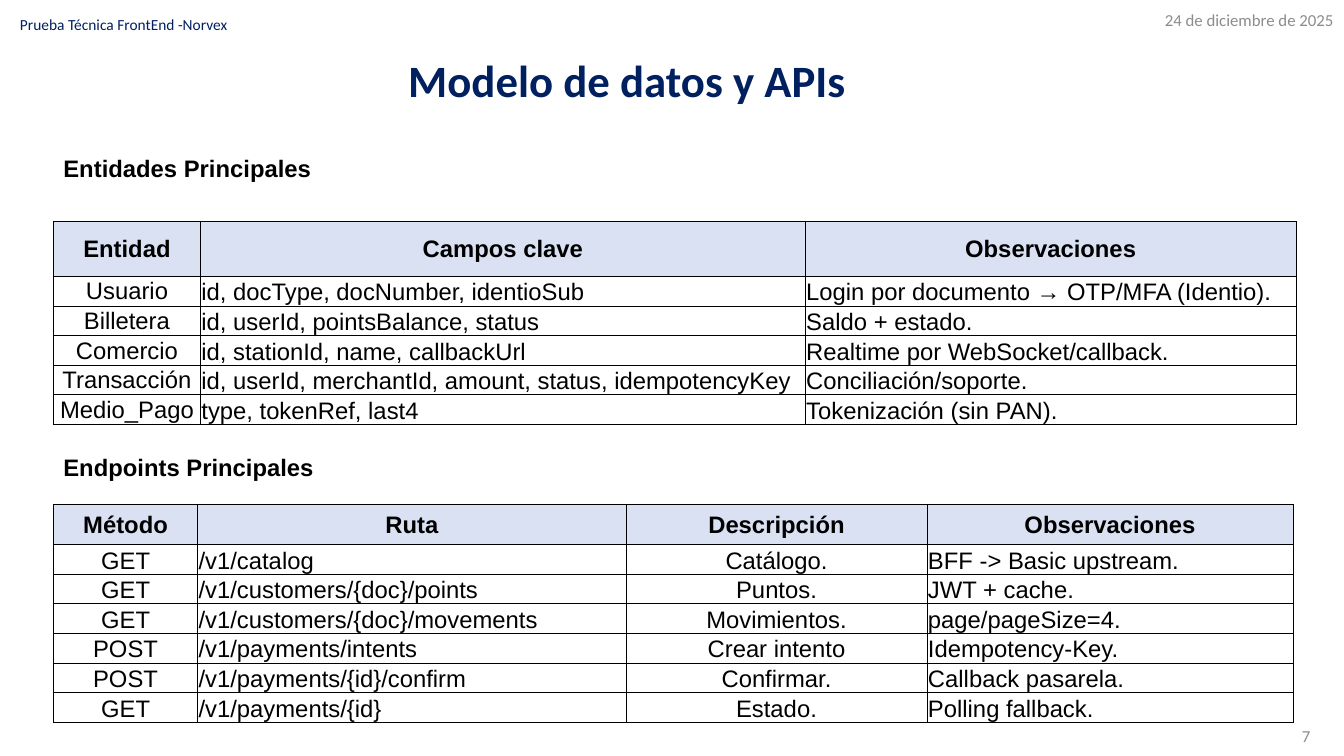
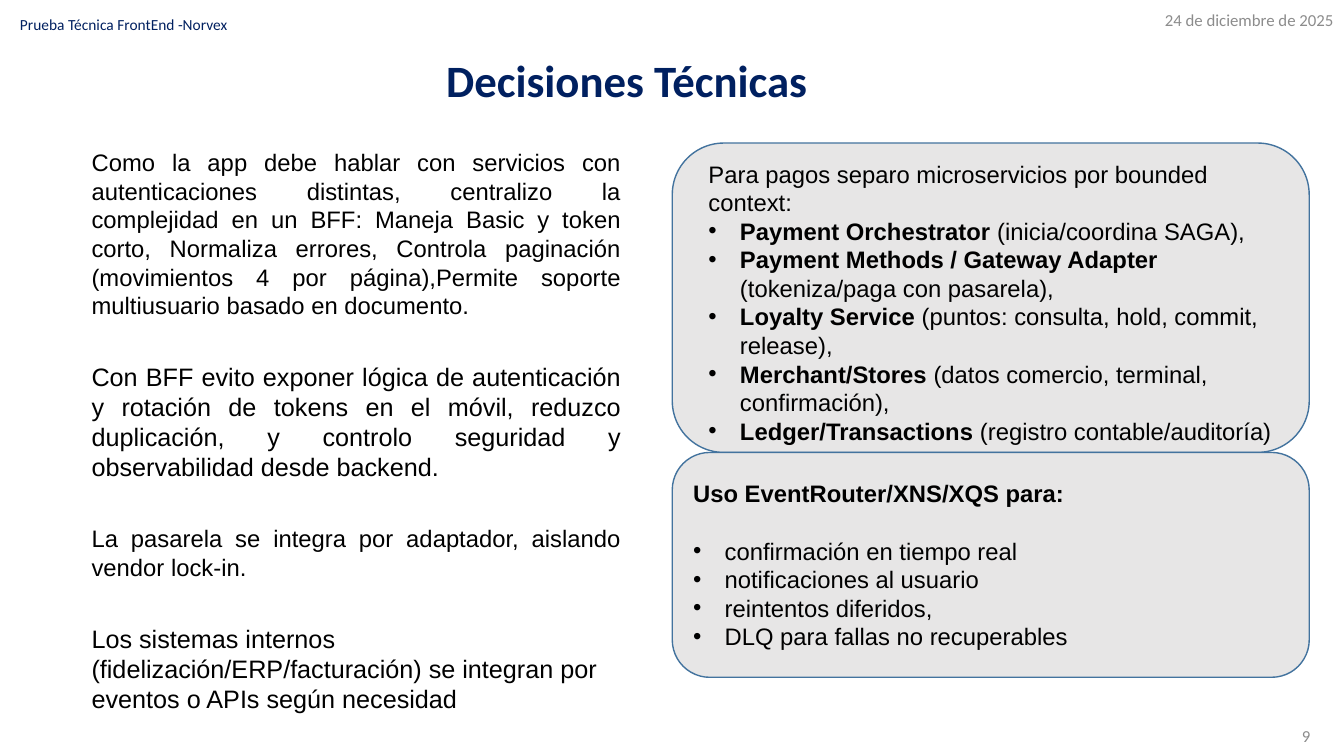
from dataclasses import dataclass
from typing import NamedTuple, Optional

from lxml import etree
from pptx import Presentation
from pptx.dml.color import RGBColor
from pptx.enum.shapes import MSO_SHAPE
from pptx.enum.text import MSO_ANCHOR, MSO_AUTO_SIZE, PP_ALIGN
from pptx.oxml.ns import qn
from pptx.slide import Slide
from pptx.table import _Cell
from pptx.text.text import TextFrame
from pptx.util import Pt

LEFT, CENTER, RIGHT, JUSTIFY = PP_ALIGN.LEFT, PP_ALIGN.CENTER, PP_ALIGN.RIGHT, PP_ALIGN.JUSTIFY
TOP, MIDDLE, BOTTOM = MSO_ANCHOR.TOP, MSO_ANCHOR.MIDDLE, MSO_ANCHOR.BOTTOM
ROUNDED = MSO_SHAPE.ROUNDED_RECTANGLE
GROW, FIXED = MSO_AUTO_SIZE.SHAPE_TO_FIT_TEXT, MSO_AUTO_SIZE.NONE

BLACK = RGBColor(0x00, 0x00, 0x00)
NAVY = RGBColor(0x00, 0x20, 0x60)
GREY = RGBColor(0x8C, 0x8C, 0x8C)
HEADER_BLUE = RGBColor(0xD9, 0xE1, 0xF2)
PANEL_GREY = RGBColor(0xE7, 0xE6, 0xE6)
PANEL_EDGE = RGBColor(0x43, 0x73, 0x9E)

BODY_FONT, FRAME_FONT = "Arial", "Calibri"
BODY_SIZE = 17
BULLET_INDENT = 22.5
ROW_HEIGHT = 21.2
BLANK_LAYOUT = 6


class Box(NamedTuple):
    left: float
    top: float
    width: float
    height: float

    def in_points(self) -> tuple[Pt, ...]:
        return tuple(Pt(value) for value in self)


class Line(NamedTuple):
    """One paragraph: a bold lead, then text in the weight of its block."""
    text: str
    lead: str = ""
    bullet: bool = False
    bold: bool = False
    after: float = 0


class Column(NamedTuple):
    header: str
    width: float
    align: PP_ALIGN = LEFT
    anchor: MSO_ANCHOR = BOTTOM


@dataclass(frozen=True)
class DataTable:
    heading: str
    heading_top: float
    top: float
    header_height: float
    columns: tuple[Column, ...]
    rows: tuple[tuple[str, ...], ...]


@dataclass(frozen=True)
class Argument:
    top: float
    height: float
    size: float
    align: PP_ALIGN
    text: str


ENTITIES = DataTable(
    "Entidades Principales", 106.5, 158.4, 38.9,
    (Column("Entidad", 105, CENTER, MIDDLE),
     Column("Campos clave", 432, JUSTIFY),
     Column("Observaciones", 350.6)),
    (("Usuario", "id, docType, docNumber, identioSub", "Login por documento → OTP/MFA (Identio)."),
     ("Billetera", "id, userId, pointsBalance, status", "Saldo + estado."),
     ("Comercio", "id, stationId, name, callbackUrl", "Realtime por WebSocket/callback."),
     ("Transacción", "id, userId, merchantId, amount, status, idempotencyKey", "Conciliación/soporte."),
     ("Medio_Pago", "type, tokenRef, last4", "Tokenización (sin PAN).")),
)
ENDPOINTS = DataTable(
    "Endpoints Principales", 319.7, 360.5, 28.4,
    (Column("Método", 103, CENTER),
     Column("Ruta", 306),
     Column("Descripción", 215, CENTER),
     Column("Observaciones", 261.4)),
    (("GET", "/v1/catalog", "Catálogo.", "BFF -> Basic upstream."),
     ("GET", "/v1/customers/{doc}/points", "Puntos.", "JWT + cache."),
     ("GET", "/v1/customers/{doc}/movements", "Movimientos.", "page/pageSize=4."),
     ("POST", "/v1/payments/intents", "Crear intento", "Idempotency-Key."),
     ("POST", "/v1/payments/{id}/confirm", "Confirmar.", "Callback pasarela."),
     ("GET", "/v1/payments/{id}", "Estado.", "Polling fallback.")),
)
ARGUMENTS = (
    Argument(102.2, 131, 17, JUSTIFY,
             "Como la app debe hablar con servicios con autenticaciones distintas, centralizo la "
             "complejidad en un BFF: Maneja Basic y token corto, Normaliza errores, Controla "
             "paginación (movimientos 4 por página),Permite soporte multiusuario basado en documento."),
    Argument(254.2, 94.3, 18, JUSTIFY,
             "Con BFF evito exponer lógica de autenticación y rotación de tokens en el móvil, reduzco "
             "duplicación, y controlo seguridad y observabilidad desde backend."),
    Argument(370.8, 48.2, 17, JUSTIFY,
             "La pasarela se integra por adaptador, aislando vendor lock-in."),
    Argument(441.4, 72.7, 18, LEFT,
             "Los sistemas internos (fidelización/ERP/facturación) se integran por eventos o APIs "
             "según necesidad"),
)
MICROSERVICES = (
    Line("Para pagos separo microservicios por bounded context:"),
    Line(" (inicia/coordina SAGA),", "Payment Orchestrator", bullet=True),
    Line(" (tokeniza/paga con pasarela),", "Payment Methods / Gateway Adapter", bullet=True),
    Line(" (puntos: consulta, hold, commit, release),", "Loyalty Service", bullet=True),
    Line(" (datos comercio, terminal, confirmación),", "Merchant/Stores", bullet=True),
    Line(" (registro contable/auditoría)", "Ledger/Transactions", bullet=True),
)
EVENTS = (
    Line("Uso EventRouter/XNS/XQS para:", bold=True, after=20.4),
    Line("confirmación en tiempo real", bullet=True),
    Line("notificaciones al usuario", bullet=True),
    Line("reintentos diferidos,", bullet=True),
    Line("DLQ para fallas no recuperables", bullet=True),
)


def write(frame: TextFrame, *lines: Line, size: float = BODY_SIZE, font: str = BODY_FONT,
          color: RGBColor = BLACK, bold: bool = False, align: PP_ALIGN = LEFT,
          anchor: MSO_ANCHOR = TOP, spacing: Optional[float] = None) -> None:
    frame.word_wrap = True
    frame.vertical_anchor = anchor
    for index, line in enumerate(lines):
        paragraph = frame.add_paragraph() if index else frame.paragraphs[0]
        paragraph.alignment = align
        paragraph.space_after = Pt(line.after)
        if spacing:
            paragraph.line_spacing = spacing
        if line.bullet:
            properties = paragraph._p.get_or_add_pPr()
            indent = int(Pt(BULLET_INDENT))
            properties.set("marL", str(indent))
            properties.set("indent", str(-indent))
            etree.SubElement(properties, qn("a:buFont")).set("typeface", "Arial")
            etree.SubElement(properties, qn("a:buChar")).set("char", "•")
        for text, is_bold in ((line.lead, True), (line.text, bold or line.bold)):
            if text:
                run = paragraph.add_run()
                run.text = text
                run.font.name, run.font.size, run.font.bold = font, Pt(size), is_bold
                run.font.color.rgb = color


def add_text(slide: Slide, box: Box, *lines: Line, grow: bool = True, **text_format) -> None:
    frame = slide.shapes.add_textbox(*box.in_points()).text_frame
    write(frame, *lines, **text_format)
    frame.auto_size = GROW if grow else FIXED


def add_panel(slide: Slide, box: Box, *lines: Line) -> None:
    panel = slide.shapes.add_shape(ROUNDED, *box.in_points())
    panel.shadow.inherit = False
    panel.fill.solid()
    panel.fill.fore_color.rgb = PANEL_GREY
    panel.line.color.rgb = PANEL_EDGE
    panel.line.width = Pt(1)
    if lines:
        write(panel.text_frame, *lines, anchor=MIDDLE)


def outline_cell(cell: _Cell) -> None:
    properties = cell._tc.get_or_add_tcPr()
    for position, side in enumerate(("a:lnL", "a:lnR", "a:lnT", "a:lnB")):
        border = etree.Element(qn(side), w=str(int(Pt(0.5))))
        fill = etree.SubElement(border, qn("a:solidFill"))
        etree.SubElement(fill, qn("a:srgbClr")).set("val", str(BLACK))
        properties.insert(position, border)


def fill_cell(cell: _Cell, text: str, column: Column, is_header: bool) -> None:
    cell.margin_left = cell.margin_right = cell.margin_top = Pt(0.7)
    cell.margin_bottom = Pt(0)
    write(cell.text_frame, Line(text), bold=is_header, align=CENTER if is_header else column.align)
    cell.vertical_anchor = MIDDLE if is_header else column.anchor
    if is_header:
        cell.fill.solid()
        cell.fill.fore_color.rgb = HEADER_BLUE
    else:
        cell.fill.background()
    outline_cell(cell)


def add_data_table(slide: Slide, data: DataTable) -> None:
    """Draw a heading and the table under it."""
    left = 38.2
    add_text(slide, Box(left, data.heading_top, 198.7, 28), Line(data.heading), bold=True, align=JUSTIFY)
    box = Box(left, data.top, sum(column.width for column in data.columns),
              data.header_height + ROW_HEIGHT * len(data.rows))
    table = slide.shapes.add_table(len(data.rows) + 1, len(data.columns), *box.in_points()).table
    table.first_row = table.horz_banding = False
    for index, column in enumerate(data.columns):
        table.columns[index].width = Pt(column.width)
    headers = tuple(column.header for column in data.columns)
    for row_index, texts in enumerate((headers, *data.rows)):
        table.rows[row_index].height = Pt(ROW_HEIGHT if row_index else data.header_height)
        for column_index, text in enumerate(texts):
            fill_cell(table.cell(row_index, column_index), text,
                      data.columns[column_index], row_index == 0)


def add_framed_slide(deck: Presentation, title: str, number: int) -> Slide:
    """Add a slide with its title, page number, date and running head."""
    slide = deck.slides.add_slide(deck.slide_layouts[BLANK_LAYOUT])
    margin_note = dict(size=12, font=FRAME_FONT, color=GREY, align=RIGHT, anchor=MIDDLE, grow=False)
    add_text(slide, Box(727.2, 511.2, 216, 28.8), Line(str(number)), **margin_note)
    add_text(slide, Box(743.8, 0, 216, 28.8), Line("24 de diciembre de 2025"), **margin_note)
    add_text(slide, Box(7.2, 8.6, 198.7, 20.2), Line("Prueba Técnica FrontEnd -Norvex"),
             size=11, font=FRAME_FONT, color=NAVY, spacing=0.9, grow=False)
    add_text(slide, Box(173.5, 33.8, 548.6, 46.1), Line(title),
             size=32, font=FRAME_FONT, color=NAVY, bold=True, align=CENTER)
    return slide


def add_data_model(deck: Presentation) -> None:
    slide = add_framed_slide(deck, "Modelo de datos y APIs", 7)
    for data in (ENTITIES, ENDPOINTS):
        add_data_table(slide, data)


def add_decisions(deck: Presentation) -> None:
    slide = add_framed_slide(deck, "Decisiones Técnicas", 9)
    for argument in ARGUMENTS:
        add_text(slide, Box(58.3, argument.top, 392.4, argument.height), Line(argument.text),
                 size=argument.size, align=argument.align)
    services = Box(480.2, 102.2, 455, 221)
    add_panel(slide, services)
    add_text(slide, Box(499, 110.2, 432, 213), *MICROSERVICES)
    events = services._replace(top=services.top + services.height, height=160.6)
    add_panel(slide, events, *EVENTS)


def main() -> None:
    deck = Presentation()
    deck.slide_width, deck.slide_height = Pt(960), Pt(540)
    add_data_model(deck)
    add_decisions(deck)
    deck.save("out.pptx")


if __name__ == "__main__":
    main()
